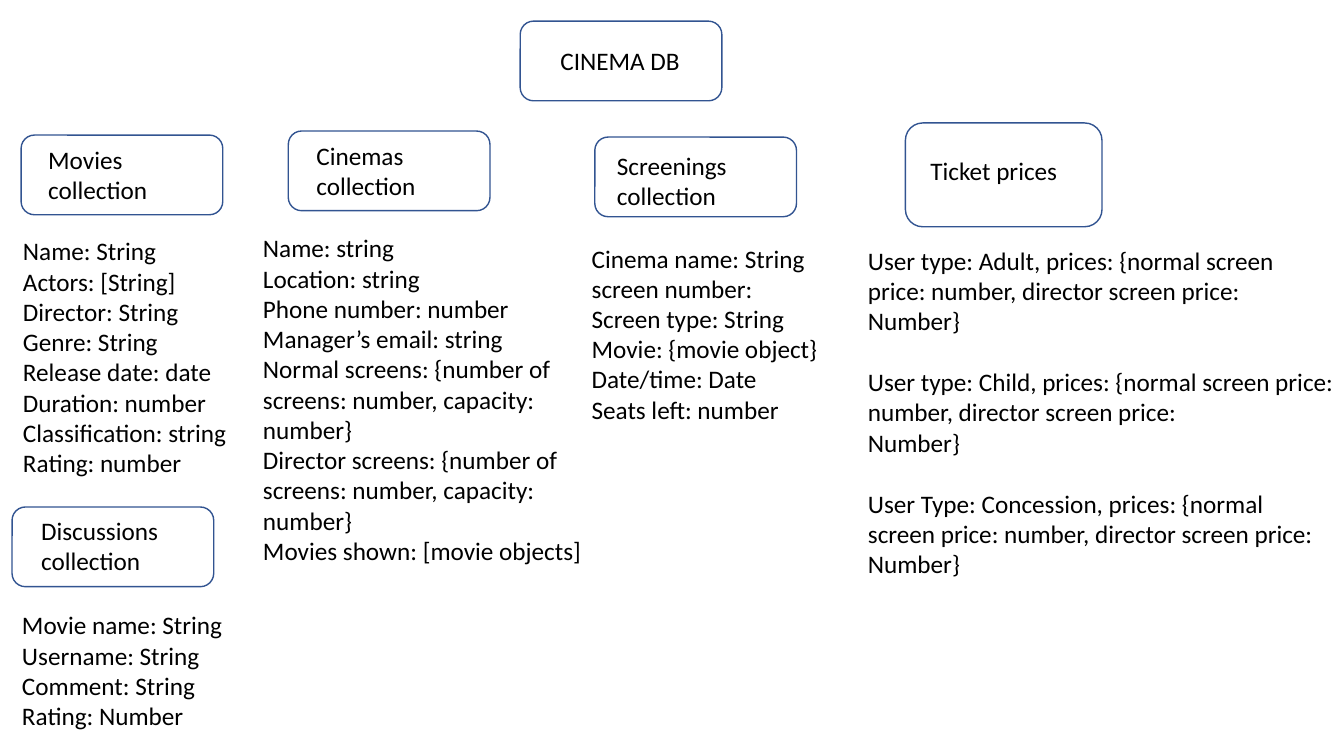
"""Build the cinema database schema slide."""
from pptx import Presentation
from pptx.dml.color import RGBColor
from pptx.enum.shapes import MSO_SHAPE as Shape
from pptx.enum.text import MSO_AUTO_SIZE as AutoSize, PP_ALIGN as Align
from pptx.util import Inches, Pt


def color(value):
    return RGBColor.from_string(value)


def add_text(left, top, width, height, lines, align=Align.LEFT, gap_before=()):
    box = slide.shapes.add_textbox(Inches(left), Inches(top), Inches(width), Inches(height))
    frame = box.text_frame
    frame.word_wrap = True
    frame.auto_size = AutoSize.SHAPE_TO_FIT_TEXT
    frame.text = "\n".join(lines)
    for index, para in enumerate(frame.paragraphs):
        para.alignment = align
        if index in gap_before:
            para.space_before = Pt(22)
        for span in para.runs:
            span.font.name = "Calibri"
            span.font.size = Pt(18)
            span.font.color.rgb = color("000000")


deck = Presentation()
deck.slide_width, deck.slide_height = Inches(13.33), Inches(7.5)
slide = deck.slides.add_slide(deck.slide_layouts[6])

headings = [
    ("CINEMA DB", (5.16, 0.21, 2, 0.79), (5.46, 0.4, 1.4, 0.4)),
    ("Movies collection", (0.21, 1.34, 2, 0.79), (0.38, 1.38, 1.64, 0.71)),
    ("Cinemas collection", (2.86, 1.3, 2, 0.79), (3.04, 1.34, 1.64, 0.71)),
    ("Screenings collection", (5.9, 1.36, 2, 0.79), (6.02, 1.44, 2, 0.71)),
    ("Discussions collection", (0.12, 5.03, 2, 0.79), (0.31, 5.06, 2, 0.71)),
    ("Ticket prices", (8.98, 1.22, 1.95, 1.03), (9.13, 1.49, 1.64, 0.4)),
]
for heading, outline, label in headings:
    card = slide.shapes.add_shape(Shape.ROUNDED_RECTANGLE, *map(Inches, outline))
    card.shadow.inherit = False
    card.fill.background()
    card.line.color.rgb = color("325491")
    card.line.width = Pt(1)
    add_text(*label, [heading])

add_text(0.13, 2.29, 2.54, 3.13, [
    "Name: String",
    "Actors: [String]",
    "Director: String",
    "Genre: String",
    "Release date: date",
    "Duration: number",
    "Classification: string",
    "Rating: number",
], align=Align.JUSTIFY)

screens = "screens: {number of screens: number, capacity: number}"
add_text(2.51, 2.26, 3.51, 3.74, [
    "Name: string",
    "Location: string",
    "Phone number: number",
    "Manager’s email: string",
    f"Normal {screens}",
    f"Director {screens}",
    "Movies shown: [movie objects]",
])

add_text(5.77, 2.36, 2.9, 2.22, [
    "Cinema name: String",
    "screen number:",
    "Screen type: String",
    "Movie: {movie object}",
    "Date/time: Date",
    "Seats left: number",
])

add_text(0.12, 6, 2.9, 1.31, [
    "Movie name: String",
    "Username: String",
    "Comment: String",
    "Rating: Number",
])

price_lines = []
for user in ("User type: Adult", "User type: Child", "User Type: Concession"):
    price_lines += [
        f"{user}, prices: {{normal screen price: number, director screen price:",
        "Number}",
    ]
add_text(8.51, 2.38, 4.84, 3.43, price_lines, gap_before=(2, 4))

deck.save("out.pptx")
